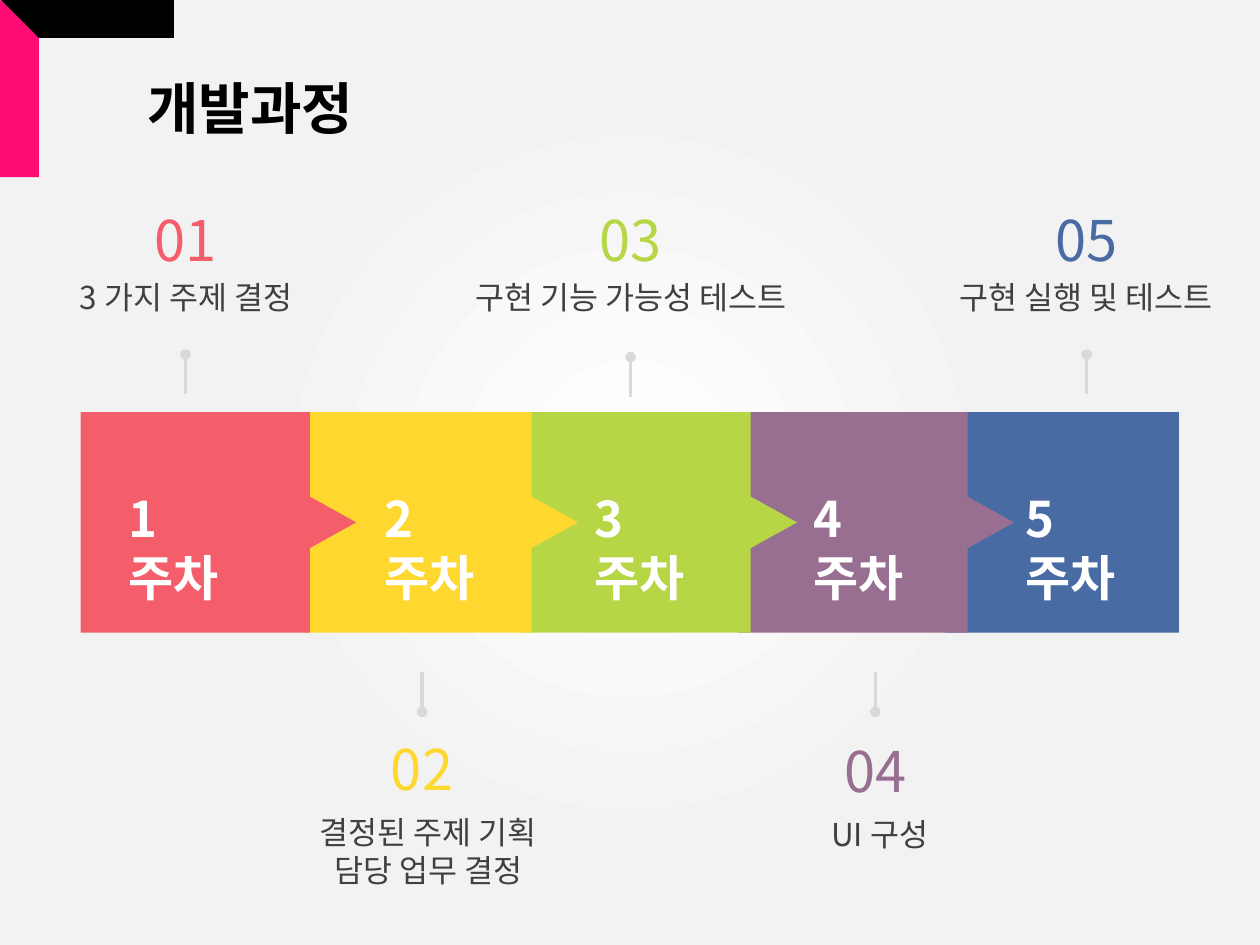
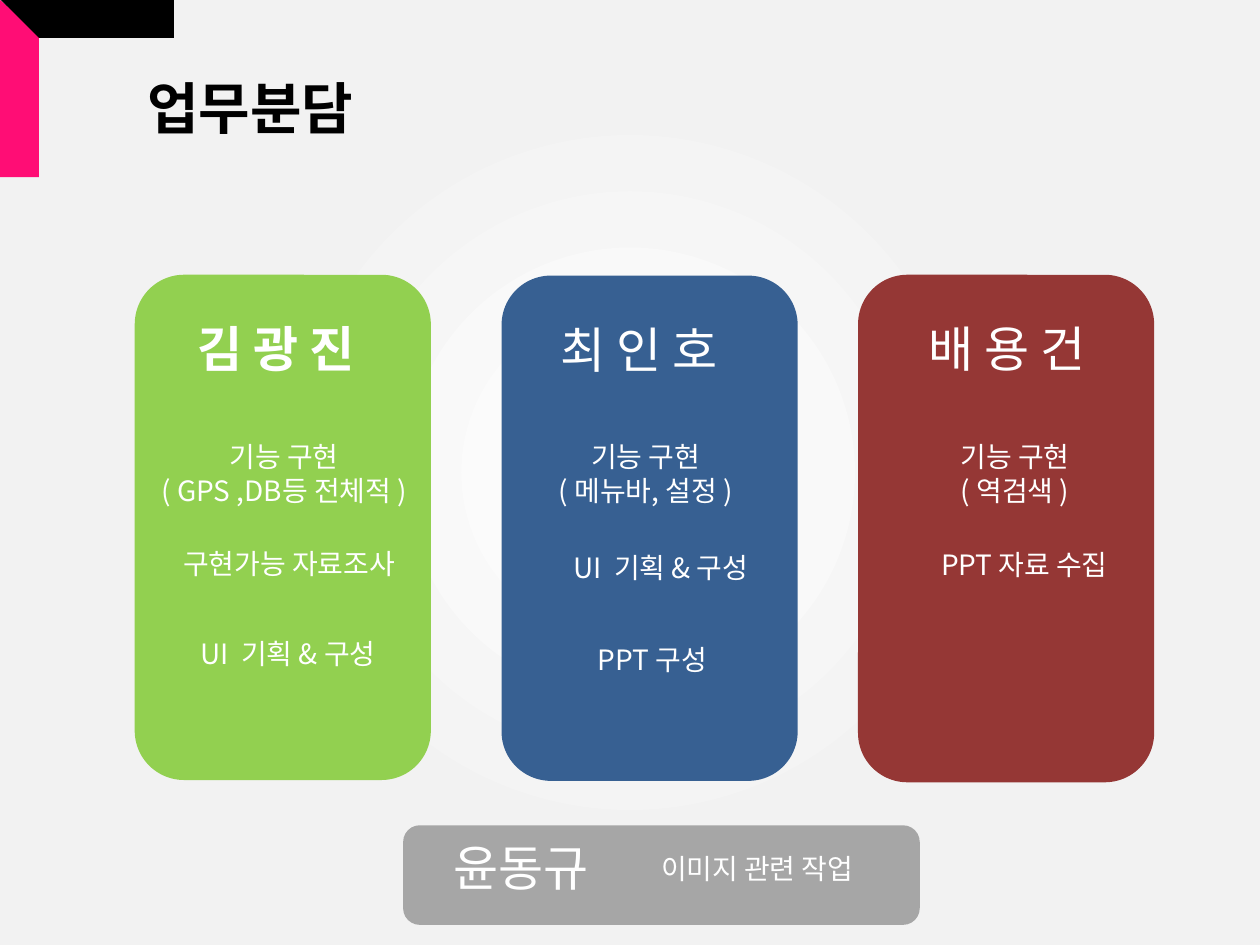
from lxml.etree import SubElement
from pptx import Presentation
from pptx.dml.color import RGBColor
from pptx.enum.shapes import MSO_CONNECTOR as CONN, MSO_SHAPE as SHAPE
from pptx.enum.text import MSO_ANCHOR as ANCHOR, MSO_AUTO_SIZE as AUTO, PP_ALIGN as ALIGN
from pptx.oxml.ns import qn
from pptx.util import Pt

FONT = "Noto Sans CJK KR"
BLACK = RGBColor(0x00, 0x00, 0x00)
WHITE = RGBColor(0xFF, 0xFF, 0xFF)
PINK = RGBColor(0xFF, 0x0D, 0x75)
DARK = RGBColor(0x40, 0x40, 0x40)
LIGHT = RGBColor(0xD9, 0xD9, 0xD9)
GRAY = RGBColor(0xA6, 0xA6, 0xA6)
CORAL = RGBColor(0xF4, 0x5E, 0x6A)
YELLOW = RGBColor(0xFE, 0xD8, 0x2F)
LIME = RGBColor(0xB7, 0xD6, 0x45)
PURPLE = RGBColor(0x98, 0x6E, 0x91)
BLUE = RGBColor(0x49, 0x6B, 0xA4)
GREEN = RGBColor(0x92, 0xD0, 0x50)
NAVY = RGBColor(0x37, 0x60, 0x92)
MAROON = RGBColor(0x95, 0x37, 0x35)

# Week band
BAND_TOP, BAND_H = 235.5, 126
BODY_W, TIP_W, NOTCH = 131, 157.5, 14.7
WEEK_W, WEEK_H = 80, 41

# Weeks: colour, block left, text left, marker x, note x, note width, note lines
WEEKS = [
    (CORAL, 46.1, 66.2, 106, 106.2, 152, ["3 가지 주제 결정"]),
    (YELLOW, 172.8, 212.4, 241.2, 244.8, 154, ["결정된 주제 기획", "담당 업무 결정"]),
    (LIME, 298, 332.6, 360.3, 360.7, 214.6, ["구현 기능 가능성 테스트"]),
    (PURPLE, 422, 457.9, 500.2, 502.6, 76, ["UI 구성"]),
    (BLUE, 540, 578.9, 621, 620.3, 178, ["구현 실행 및 테스트"]),
]

# Members: colour, card box, name, name left, bold, tasks (centre, top, width, lines)
MEMBERS = [
    (GREEN, (77, 157, 169.2, 288.7), "김 광 진", 105.8, True, [
        (162.4, 247.7, 165, ["기능 구현", "( GPS ,DB등 전체적 )"]),
        (165.2, 308.9, 149, ["구현가능 자료조사"]),
        (164.5, 360, 126, ["UI  기획 & 구성"])]),
    (NAVY, (286.6, 157.5, 169.2, 288.7), "최 인 호", 313.2, False, [
        (369, 247.7, 130.3, ["기능 구현", "( 메뉴바, 설정 )"]),
        (377.6, 311, 126, ["UI  기획 & 구성"]),
        (372.8, 363.6, 77, ["PPT 구성"])]),
    (MAROON, (490.3, 157, 169.2, 290), "배 용 건", 523.4, False, [
        (580, 247.7, 84.2, ["기능 구현", "( 역검색 )"]),
        (585.4, 309.6, 115.2, ["PPT 자료 수집"])]),
]


def set_background(master):
    """Radial gradient shared by all slides."""
    master.background.fill.gradient()
    grad = master.element.find(".//" + qn("a:gradFill"))
    for child in list(grad):
        grad.remove(child)
    stops = SubElement(grad, qn("a:gsLst"))
    for pos, color, alpha in ((0, "FFFFFF", 100), (50, "F2F2F2", 50), (100, "F2F2F2", 20)):
        gs = SubElement(stops, qn("a:gs"), pos=str(pos * 1000))
        clr = SubElement(gs, qn("a:srgbClr"), val=color)
        if alpha < 100:
            SubElement(clr, qn("a:alpha"), val=str(alpha * 1000))
    circle = SubElement(grad, qn("a:path"), path="circle")
    SubElement(circle, qn("a:fillToRect"), l="50000", t="50000", r="50000", b="50000")


def write(tf, lines, size, color, bold, align):
    tf.word_wrap = True
    tf.auto_size = AUTO.NONE
    tf.vertical_anchor = ANCHOR.TOP
    for i, line in enumerate(lines):
        p = tf.add_paragraph() if i else tf.paragraphs[0]
        p.alignment = align
        r = p.add_run()
        r.text = line
        f = r.font
        f.size, f.bold, f.name = Pt(size), bold, FONT
        f.color.rgb = color
        SubElement(r.font._element, qn("a:ea"), typeface=FONT)


def add_text(s, left, top, width, height, lines, size, color, bold=False, align=ALIGN.LEFT):
    sp = s.shapes.add_textbox(Pt(left), Pt(top), Pt(width), Pt(height))
    write(sp.text_frame, lines, size, color, bold, align)


def add_centered(s, center, top, width, lines, size, color):
    height = 10 + 1.4 * size * len(lines)
    add_text(s, center - width / 2, top, width, height, lines, size, color, align=ALIGN.CENTER)


def paint(sp, color):
    sp.fill.solid()
    sp.fill.fore_color.rgb = color
    sp.line.fill.background()
    sp.shadow.inherit = False


def add_box(s, kind, box, color):
    paint(s.shapes.add_shape(kind, *map(Pt, box)), color)


def add_outline(s, points, color):
    start, *rest = [(Pt(x), Pt(y)) for x, y in points]
    builder = s.shapes.build_freeform(*start)
    builder.add_line_segments(rest, close=True)
    paint(builder.convert_to_shape(), color)


def add_pin(s, x, y_from, y_to):
    """Short line with a dot at its far end."""
    line = s.shapes.add_connector(CONN.STRAIGHT, Pt(x), Pt(y_from), Pt(x), Pt(y_to))
    line.line.color.rgb = LIGHT
    line.line.width = Pt(2)
    SubElement(line.line._get_or_add_ln(), qn("a:tailEnd"), type="oval")
    SubElement(line._element.spPr, qn("a:effectLst"))


def add_week_block(s, left, color):
    right, bottom, mid = left + BODY_W, BAND_TOP + BAND_H, BAND_TOP + BAND_H / 2
    add_outline(s, [(left, BAND_TOP), (right, BAND_TOP), (right, mid - NOTCH),
                    (left + TIP_W, mid), (right, mid + NOTCH),
                    (right, bottom), (left, bottom)], color)


def new_slide(prs, title):
    s = prs.slides.add_slide(prs.slide_layouts[5])
    sp = s.shapes.title
    sp.left, sp.top, sp.width, sp.height = Pt(77), Pt(38.2), Pt(141), Pt(46)
    write(sp.text_frame, [title], 32, BLACK, True, ALIGN.LEFT)
    # Corner ribbon
    add_outline(s, [(0, 0), (22.3, 18.7), (22.3, 101.3), (-0.7, 101.3)], PINK)
    add_outline(s, [(0, -0.5), (22.3, 21.6), (99.3, 21.6), (99.3, 0)], BLACK)
    return s


def process_slide(prs):
    s = new_slide(prs, "개발과정")
    # Band, last week at the back
    color, left = WEEKS[-1][:2]
    add_box(s, SHAPE.RECTANGLE, (left, BAND_TOP, 133.7, BAND_H), color)
    for color, left, *_ in reversed(WEEKS[:-1]):
        add_week_block(s, left, color)
    # Week labels and notes, alternately above and below the band
    for n, (color, _, text_left, x, note_x, note_w, note) in enumerate(WEEKS, 1):
        add_text(s, text_left, 275.5, WEEK_W, WEEK_H, [f"{n}주차"], 28, WHITE, True)
        if n % 2:
            drop = 1.4 if n == 3 else 0
            pin, number_y, note_y = (225.4 + drop, 202.6 + drop), 113.8, 155.5
        else:
            drop = 1 if n == 4 else 0
            pin, number_y, note_y = (383.8, 406.8), 416.2 + drop, 461 + drop
        add_pin(s, x, *pin)
        add_centered(s, x, number_y, 52, [f"{n:02}"], 32, color)
        add_centered(s, note_x, note_y, note_w, note, 18, DARK)


def roles_slide(prs):
    s = new_slide(prs, "업무분담")
    # Member cards
    for color, box, name, name_left, bold, tasks in MEMBERS:
        add_box(s, SHAPE.ROUNDED_RECTANGLE, box, color)
        add_text(s, name_left, box[1] + 21.6, 118, 41, [name], 28, WHITE, bold)
        for center, top, width, lines in tasks:
            add_centered(s, center, top, width, lines, 16, WHITE)
    # Support strip
    add_box(s, SHAPE.ROUNDED_RECTANGLE, (230.4, 471.6, 295.2, 56.9), GRAY)
    add_text(s, 252, 475.2, 100, 41, ["윤동규"], 28, WHITE)
    add_centered(s, 432.7, 483.1, 138, ["이미지 관련 작업"], 16, WHITE)


def main():
    prs = Presentation()
    prs.slide_width, prs.slide_height = Pt(720), Pt(540)
    set_background(prs.slide_master)
    process_slide(prs)
    roles_slide(prs)
    prs.save("out.pptx")


if __name__ == "__main__":
    main()
